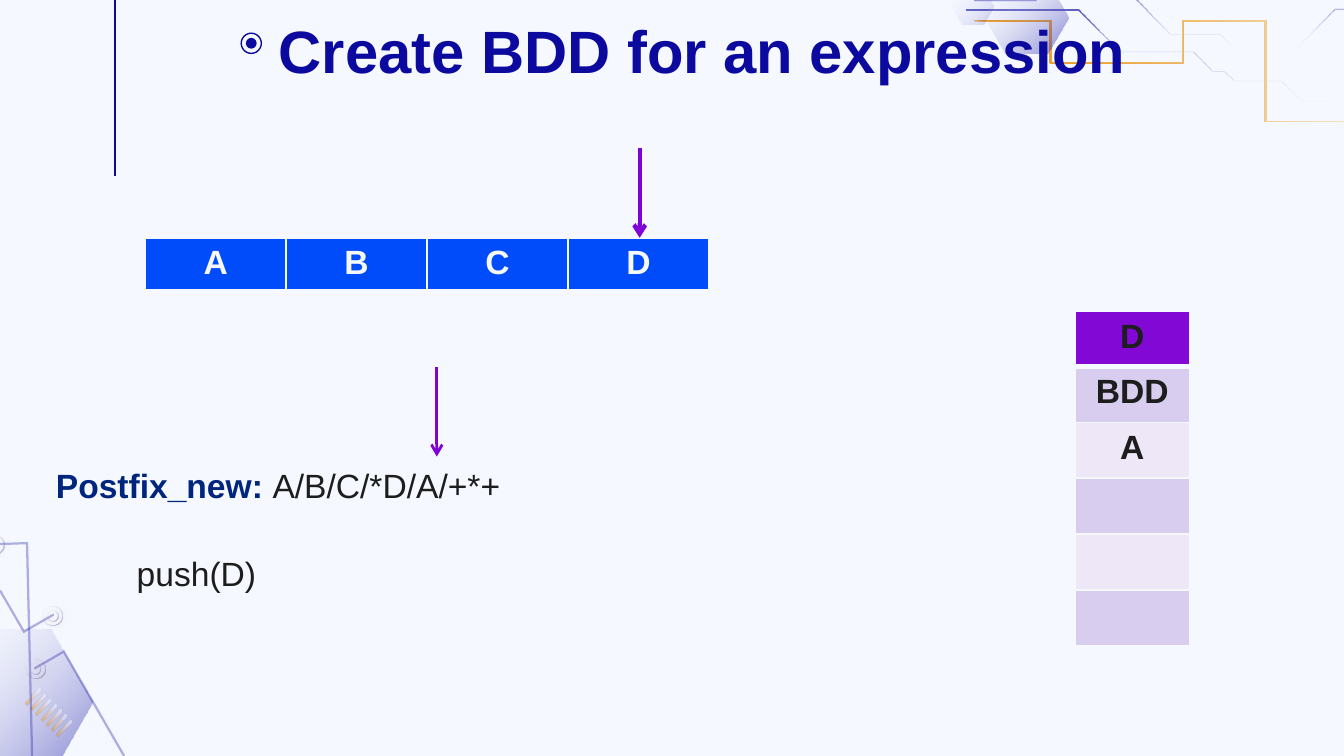
from math import hypot

from lxml.etree import SubElement
from pptx import Presentation
from pptx.dml.color import RGBColor
from pptx.enum.shapes import MSO_CONNECTOR, MSO_SHAPE
from pptx.enum.text import PP_ALIGN
from pptx.oxml import parse_xml
from pptx.oxml.ns import nsdecls, qn
from pptx.util import Pt

FONT = "Arial"
NAVY, ORANGE, PAPER, WHITE = "0C0A9E", "EB9109", "F5F8FF", "FFFFFF"
INK, LABEL, PURPLE, BLUE = "1D1D1D", "00257D", "8003D5", "004BFA"
STACK_TOP, LILAC, PALE, SAND = "8208D5", "D8CCEF", "EDE7F7", "F4E0C0"


def color(value):
    return RGBColor.from_string(value)


def points(*lengths):
    return [Pt(length) for length in lengths]


def set_gradient(shape, stops, angle):
    """Fill with (position %, colour, opacity %) stops, angle clockwise."""
    shape.shadow.inherit = False
    shape.line.fill.background()
    stop_xml = "".join(
        f'<a:gs pos="{position * 1000}"><a:srgbClr val="{value}">'
        f'<a:alpha val="{opacity * 1000}"/></a:srgbClr></a:gs>'
        for position, value, opacity in stops)
    gradient = parse_xml(
        f'<a:gradFill {nsdecls("a")} rotWithShape="1"><a:gsLst>{stop_xml}</a:gsLst>'
        f'<a:lin ang="{angle * 60000}" scaled="0"/></a:gradFill>')
    shape.element.spPr.find(qn("a:ln")).addprevious(gradient)


def add_polygon(slide, corners, stops, angle=0):
    start, *rest = [points(*corner) for corner in corners]
    builder = slide.shapes.build_freeform(*start, scale=1.0)
    builder.add_line_segments(rest, close=True)
    set_gradient(builder.convert_to_shape(), stops, angle)


def add_hexagon(slide, center_x, center_y, width, stops, angle):
    half, rise = width / 2, width * 0.435
    corners = [(center_x + dx * half, center_y + dy * rise)
               for dx, dy in [(-0.5, -1), (-1, 0), (-0.5, 1), (0.5, 1), (1, 0), (0.5, -1)]]
    add_polygon(slide, corners, stops, angle)


def add_trace(slide, route, width, stops, angle=0):
    """Draw a route as a thin filled band with mitred corners."""
    normals = []
    for (x1, y1), (x2, y2) in zip(route, route[1:]):
        length = hypot(x2 - x1, y2 - y1)
        normals.append(((y1 - y2) / length, (x2 - x1) / length))
    upper, lower = [], []
    for (x, y), (ax, ay), (bx, by) in zip(route, normals[:1] + normals, normals + normals[-1:]):
        scale = width / 2 / (1 + ax * bx + ay * by)
        dx, dy = (ax + bx) * scale, (ay + by) * scale
        upper.append((x - dx, y - dy))
        lower.append((x + dx, y + dy))
    add_polygon(slide, upper + lower[::-1], stops, angle)


def add_circle(slide, kind, center_x, center_y, size):
    circle = slide.shapes.add_shape(
        kind, *points(center_x - size / 2, center_y - size / 2, size, size))
    circle.shadow.inherit = False
    return circle


def add_ring(slide, center_x, center_y, size, thickness):
    """Add a glowing ring for the end of a trace."""
    ring = add_circle(slide, MSO_SHAPE.DONUT, center_x, center_y, size)
    ring.adjustments[0] = thickness
    set_gradient(ring, [(0, NAVY, 37), (100, WHITE, 0)], 225)
    effects = ring.element.spPr.find(qn("a:effectLst"))
    effects.append(parse_xml(
        f'<a:outerShdw {nsdecls("a")} blurRad="{Pt(3.4)}" dist="{Pt(0.7)}" dir="2700000">'
        f'<a:srgbClr val="{ORANGE}"><a:alpha val="39000"/></a:srgbClr></a:outerShdw>'))


def add_line(slide, x, top, bottom, value, width, arrow=False):
    line = slide.shapes.add_connector(MSO_CONNECTOR.STRAIGHT, *points(x, top, x, bottom))
    line.line.color.rgb = color(value)
    line.line.width = Pt(width)
    properties = line.element.spPr
    if arrow:
        SubElement(properties.find(qn("a:ln")), qn("a:tailEnd"), type="arrow")
    SubElement(properties, qn("a:effectLst"))


def add_run(paragraph, text, size, value, bold=False):
    run = paragraph.add_run()
    run.text = text
    run.font.name = FONT
    run.font.size = Pt(size)
    run.font.bold = bold
    run.font.color.rgb = color(value)


def add_text(slide, box, runs, size, side=7.2, top=7.2, spacing=1):
    frame = slide.shapes.add_textbox(*points(*box)).text_frame
    frame.word_wrap = True
    frame.margin_left = frame.margin_right = Pt(side)
    frame.margin_top = Pt(top)
    paragraph = frame.paragraphs[0]
    paragraph.line_spacing = spacing
    for text, value, bold in runs:
        add_run(paragraph, text, size, value, bold)


def add_cells(slide, box, rows, fills, text_color):
    """Add a table with one fill per row and a thick rule under the first."""
    table = slide.shapes.add_table(len(rows), len(rows[0]), *points(*box)).table
    for row_index, (labels, fill) in enumerate(zip(rows, fills)):
        for column_index, label in enumerate(labels):
            cell = table.cell(row_index, column_index)
            cell.fill.solid()
            cell.fill.fore_color.rgb = color(fill)
            paragraph = cell.text_frame.paragraphs[0]
            paragraph.alignment = PP_ALIGN.CENTER
            if label:
                add_run(paragraph, label, 18, text_color, True)
            widths = {"lnL": 1, "lnR": 1, "lnT": 3 if row_index == 1 else 1,
                      "lnB": 3 if row_index == 0 else 1}
            properties = cell._tc.get_or_add_tcPr()
            for order, (side, width) in enumerate(widths.items()):
                properties.insert(order, parse_xml(
                    f'<a:{side} {nsdecls("a")} w="{Pt(width)}"><a:solidFill>'
                    f'<a:srgbClr val="{PAPER}"/></a:solidFill></a:{side}>'))


def add_left_circuit(slide):
    add_hexagon(slide, 5, 376, 89, [(0, WHITE, 0), (100, NAVY, 50)], 45)
    for coil in range(7):
        shift = coil * 2.8
        bar = [(20.9, 368.6), (13.7, 376.6), (14.6, 378), (22.2, 370)]
        add_polygon(slide, [(x + shift, y + shift) for x, y in bar],
                    [(22, PAPER, 47), (100, ORANGE, 47)], 180)
    routes = [[(0, 316.3), (12.8, 338.4), (28.8, 329.2)],
              [(0, 291.5), (14.5, 291), (17.2, 405)],
              [(18.4, 358.2), (34.2, 349.1), (66.5, 405)]]
    for route in routes:
        add_trace(slide, route, 1.2, [(0, NAVY, 31), (100, NAVY, 31)])
    for center in [(28.2, 329.8), (18.8, 358)]:
        add_ring(slide, *center, 10.8, 0.07)
        add_ring(slide, *center, 6.2, 0.12)
    add_ring(slide, -3.2, 291.6, 10.8, 0.07)


def add_right_circuit(slide):
    fading = [(0, NAVY, 65), (100, WHITE, 0)]
    add_trace(slide, [(518, 5.4), (578, 5.4), (600, 27.4), (639, 27.4), (649.4, 37.8),
                      (655.6, 37.8), (660.8, 43), (686, 43), (696.8, 53.8), (712.8, 53.8),
                      (720, 61)], 0.7, fading, 90)
    add_trace(slide, [(522, 0.4), (554.8, 0.4), (561.8, -6.6), (602, -6.6), (626.6, 18),
                      (653.2, 18), (664.4, 29.2), (690.2, 29.2), (714.4, 5),
                      (720, 5)], 0.7, fading, 90)
    add_trace(slide, [(522, 11.2), (562.8, 11.2), (562.8, 33.6), (633.6, 33.6), (633.6, 11.2),
                      (678, 11.2), (678, 65.2), (720, 65.2)], 0.6,
              [(0, ORANGE, 100), (100, SAND, 100)])
    add_hexagon(slide, 521, 3.6, 22.4, [(0, NAVY, 20), (100, WHITE, 0)], 225)
    add_hexagon(slide, 550, 9.4, 44.8, [(0, WHITE, 0), (100, NAVY, 50)], 45)


def add_title(slide):
    bullet_x, bullet_y = 134.6, 23.2
    outer = add_circle(slide, MSO_SHAPE.OVAL, bullet_x, bullet_y, 10.8)
    outer.fill.background()
    outer.line.color.rgb = color(NAVY)
    outer.line.width = Pt(0.75)
    add_line(slide, 61.7, 94.3, 0, NAVY, 0.75)
    dot = add_circle(slide, MSO_SHAPE.OVAL, bullet_x, bullet_y, 5.8)
    dot.fill.solid()
    dot.fill.fore_color.rgb = color(NAVY)
    dot.line.fill.background()
    add_text(slide, (142.3, 0, 577.7, 45.4), [("Create BDD for an expression", NAVY, True)],
             32, top=7.4)


def main():
    presentation = Presentation()
    presentation.slide_width, presentation.slide_height = points(720, 405)
    slide = presentation.slides.add_slide(presentation.slide_layouts[6])
    slide.background.fill.solid()
    slide.background.fill.fore_color.rgb = color(PAPER)
    add_left_circuit(slide)
    add_right_circuit(slide)
    add_title(slide)
    add_text(slide, (30, 238.3, 319, 108.7),
             [("Postfix_new: ", LABEL, True), ("A/B/C/*D/A/+*+", INK, False)],
             18, side=0, top=7.4, spacing=1.15)
    add_cells(slide, (576, 166.6, 61.2, 179.4), [["D"], ["BDD"], ["A"], [""], [""], [""]],
              [STACK_TOP, LILAC, PALE, LILAC, PALE, LILAC], INK)
    add_line(slide, 234, 196.6, 244.6, PURPLE, 1.5, arrow=True)
    add_text(slide, (66.2, 292.3, 391, 29), [("push(D)", INK, False)], 18, top=4)
    add_cells(slide, (77.8, 127.4, 302, 28.8), [["A", "B", "C", "D"]], [BLUE], PAPER)
    add_line(slide, 342.7, 79.2, 127.4, PURPLE, 2.25, arrow=True)
    presentation.save("out.pptx")


if __name__ == "__main__":
    main()
